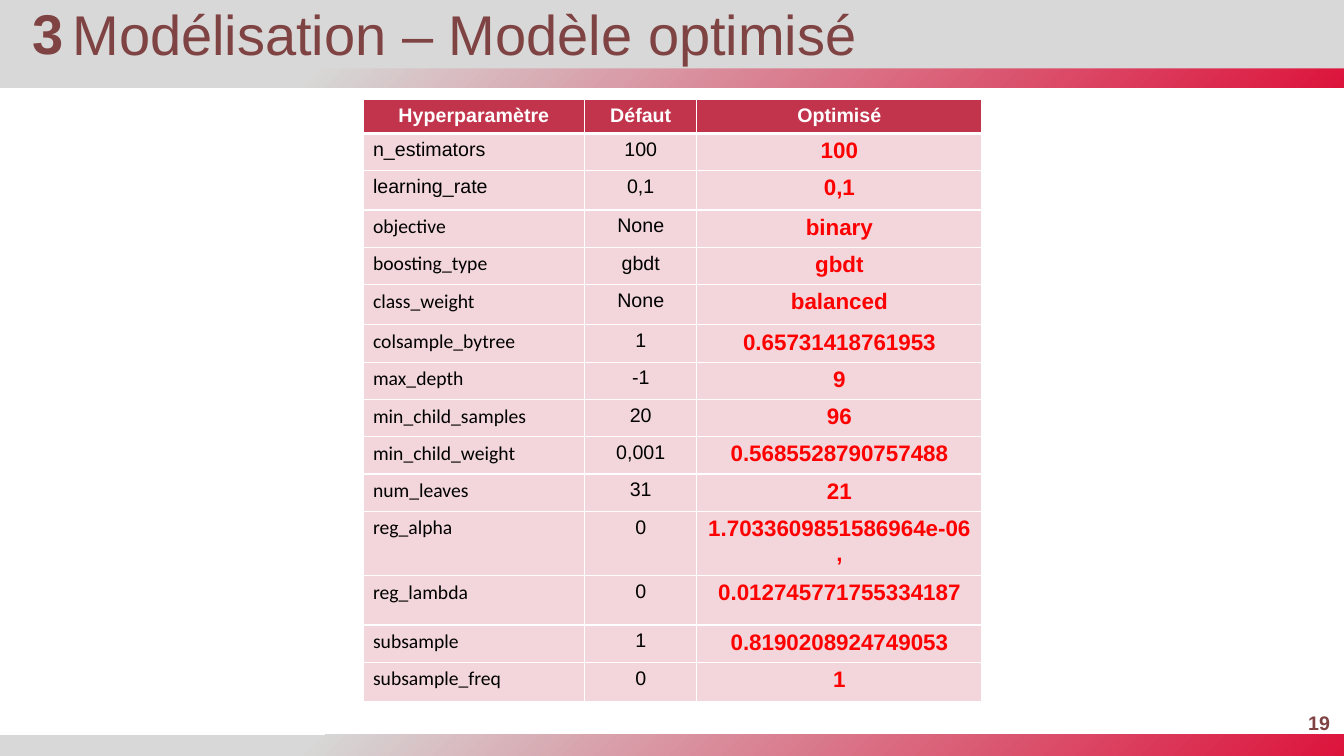
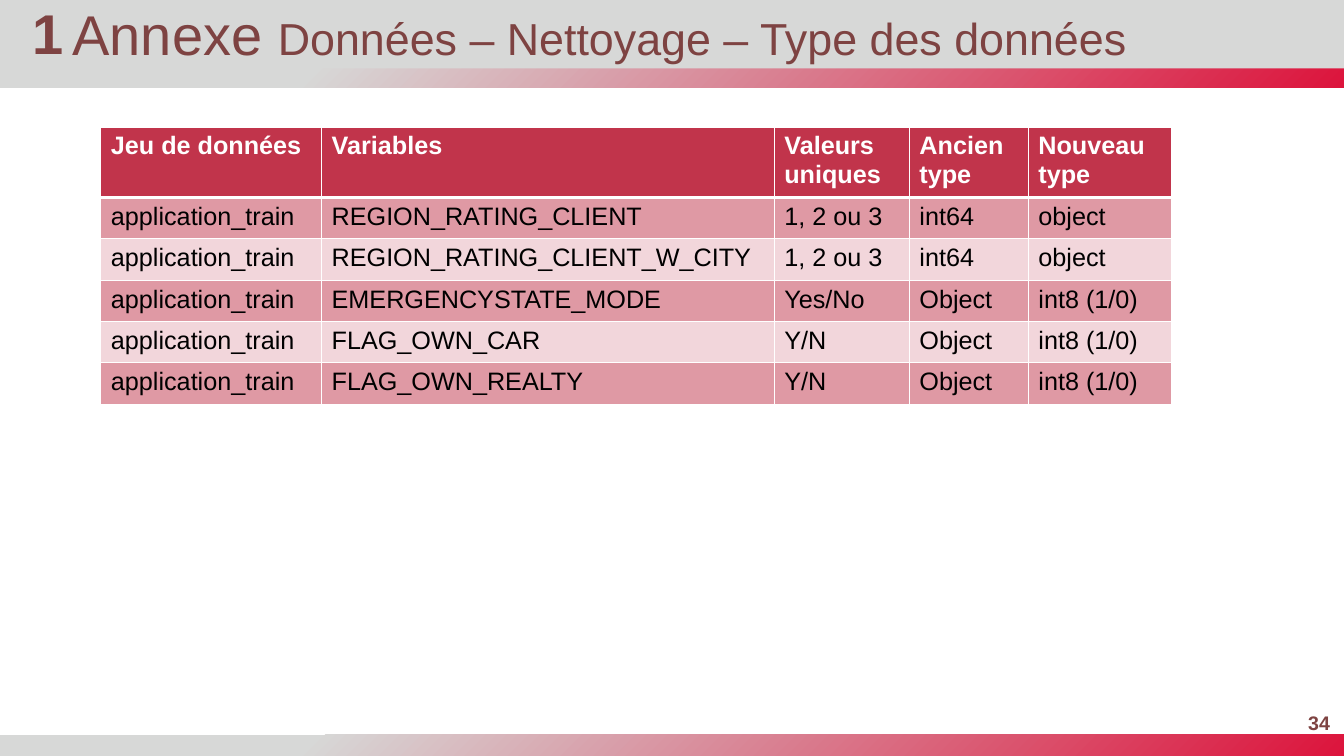
from pptx import Presentation
from pptx.dml.color import RGBColor
from pptx.enum.shapes import MSO_SHAPE
from pptx.enum.text import MSO_ANCHOR, PP_ALIGN
from pptx.oxml.ns import qn
from pptx.util import Inches, Pt
from lxml.etree import SubElement

WHITE = RGBColor(0xFF, 0xFF, 0xFF)
BLACK = RGBColor(0, 0, 0)
RED = RGBColor(0xFF, 0, 0)
BROWN = RGBColor(0x7E, 0x43, 0x42)
GREY = RGBColor(0xD7, 0xD8, 0xD7)
CRIMSON = RGBColor(0xDC, 0x14, 0x3C)
ROSE = RGBColor(0xC1, 0x34, 0x4B)
WIDE, HIGH, BAND = 13.33, 7.5, 0.21

PARAMS = [
    ("Hyperparamètre", "Défaut", "Optimisé"),
    ("n_estimators", "100", "100"),
    ("learning_rate", "0,1", "0,1"),
    ("objective", "None", "binary"),
    ("boosting_type", "gbdt", "gbdt"),
    ("class_weight", "None", "balanced"),
    ("colsample_bytree", "1", "0.65731418761953"),
    ("max_depth", "-1", "9"),
    ("min_child_samples", "20", "96"),
    ("min_child_weight", "0,001", "0.5685528790757488"),
    ("num_leaves", "31", "21"),
    ("reg_alpha", "0", "1.7033609851586964e-06,"),
    ("reg_lambda", "0", "0.012745771755334187"),
    ("subsample", "1", "0.8190208924749053"),
    ("subsample_freq", "0", "1"),
]
PARAM_ROWS = [0.33, 0.37, 0.39, 0.37, 0.37, 0.4] + [0.37] * 5 + [0.64, 0.49, 0.37, 0.39]

TRAIN = "application_train"
TYPES = [
    ("Jeu de données", "Variables", "Valeurs uniques", "Ancien type", "Nouveau type"),
    (TRAIN, "REGION_RATING_CLIENT", "1, 2 ou 3", "int64", "object"),
    (TRAIN, "REGION_RATING_CLIENT_W_CITY", "1, 2 ou 3", "int64", "object"),
    (TRAIN, "EMERGENCYSTATE_MODE", "Yes/No", "Object", "int8 (1/0)"),
    (TRAIN, "FLAG_OWN_CAR", "Y/N", "Object", "int8 (1/0)"),
    (TRAIN, "FLAG_OWN_REALTY", "Y/N", "Object", "int8 (1/0)"),
]


def style(font, size, color, bold=False, name="Arial"):
    font.name, font.size, font.bold = name, Pt(size), bold
    font.color.rgb = color


def add_text(slide, box, parts, bold=False, align=PP_ALIGN.LEFT, anchor=MSO_ANCHOR.MIDDLE):
    """Write one paragraph from (text, size) parts."""
    frame = slide.shapes.add_textbox(*map(Inches, box)).text_frame
    frame.word_wrap = True
    frame.vertical_anchor = anchor
    para = frame.paragraphs[0]
    para.alignment = align
    for text, size in parts:
        run = para.add_run()
        run.text = text
        style(run.font, size, BROWN, bold)
    return para


def add_bar(slide, top, height):
    bar = slide.shapes.add_shape(
        MSO_SHAPE.RECTANGLE, 0, Inches(top), Inches(WIDE), Inches(height))
    bar.shadow.inherit = False
    bar.line.fill.background()
    return bar


def add_band(slide, top):
    """Band that glows from its lower right corner."""
    fill = add_bar(slide, top, BAND).fill
    fill.gradient()
    for stop, color, place in zip(fill.gradient_stops, (CRIMSON, GREY), (0, 0.77)):
        stop.color.rgb = color
        stop.position = place
    grad = slide.shapes[-1].fill._xPr.find(qn("a:gradFill"))
    grad.remove(grad.find(qn("a:lin")))
    glow = SubElement(grad, qn("a:path"), {"path": "circle"})
    SubElement(glow, qn("a:fillToRect"), {"l": "100000", "t": "100000"})


def add_frame(deck, number, title, page):
    """Add a slide with its title, bands and page number."""
    slide = deck.slides.add_slide(deck.slide_layouts[6])
    add_text(slide, (12.86, 6.97, 0.43, 0.4), [(page, 14)], True, PP_ALIGN.RIGHT)
    add_band(slide, 0.66)
    head = add_bar(slide, -0.02, 0.7)
    head.fill.solid()
    head.fill.fore_color.rgb = GREY
    add_text(slide, (0.62, 0.07, 12.88, 0.65), title).line_spacing = 0.8
    add_band(slide, HIGH - BAND)
    add_text(slide, (0.22, -0.06, 0.25, 0.77), [(number, 40)], True,
             PP_ALIGN.CENTER, MSO_ANCHOR.TOP)
    return slide


def paint(cell, alpha, base):
    """Set white borders and a rose fill; alpha is in percent."""
    cell.fill.solid()
    cell.fill.fore_color.rgb = ROSE
    props = cell._tc.get_or_add_tcPr()
    tint = props.find(qn("a:solidFill")).find(qn("a:srgbClr"))
    if alpha < 100:
        SubElement(tint, qn("a:alpha"), {"val": str(alpha * 1000)})
    for spot, (side, width) in enumerate((("L", 1), ("R", 1), ("T", 1), ("B", base))):
        line = SubElement(props, qn("a:ln" + side), {"w": str(Pt(width))})
        solid = SubElement(line, qn("a:solidFill"))
        SubElement(solid, qn("a:srgbClr"), {"val": str(WHITE)})
        props.insert(spot, line)


def add_grid(slide, left, top, cols, rows, data, shade, look):
    """Add a table; shade(row) gives alpha, look(row, col) gives font and alignment."""
    grid = slide.shapes.add_table(
        len(rows), len(cols), Inches(left), Inches(top),
        Inches(sum(cols)), Inches(sum(rows))).table
    for col, width in zip(grid.columns, cols):
        col.width = Inches(width)
    for r, height in enumerate(rows):
        grid.rows[r].height = Inches(height)
        for c, text in enumerate(data[r]):
            cell = grid.cell(r, c)
            paint(cell, shade(r), 1 if r else 3)
            cell.text_frame.text = text
            para = cell.text_frame.paragraphs[0]
            font, para.alignment = look(r, c)
            style(para.runs[0].font, **font)


def param_look(r, c):
    if r == 0:
        return dict(size=14, color=WHITE, bold=True), PP_ALIGN.CENTER
    if c == 0:
        name = "Arial" if r < 3 else "Calibri"
        return dict(size=14, color=BLACK, name=name), PP_ALIGN.LEFT
    if c == 1:
        return dict(size=14, color=BLACK), PP_ALIGN.CENTER
    return dict(size=16, color=RED, bold=True), PP_ALIGN.CENTER


def type_look(r, c):
    return dict(size=18, color=BLACK if r else WHITE, bold=r == 0), PP_ALIGN.LEFT


def add_model(deck):
    slide = add_frame(deck, "3", [("Modélisation – Modèle optimisé", 40)], "19")
    add_grid(slide, 3.6, 0.99, (2.2, 1.11, 2.83), PARAM_ROWS, PARAMS,
             lambda r: 20 if r else 100, param_look)


def add_types(deck):
    title = [("Annexe ", 40), ("Données – Nettoyage – Type des données", 32)]
    slide = add_frame(deck, "1", title, "34")
    add_grid(slide, 1, 1.26, (2.19, 4.49, 1.34, 1.18, 1.42), [0.69] + [0.41] * 5, TYPES,
             lambda r: (50 if r % 2 else 20) if r else 100, type_look)


def main():
    deck = Presentation()
    deck.slide_width, deck.slide_height = Inches(WIDE), Inches(HIGH)
    add_model(deck)
    add_types(deck)
    deck.save("out.pptx")


if __name__ == "__main__":
    main()
